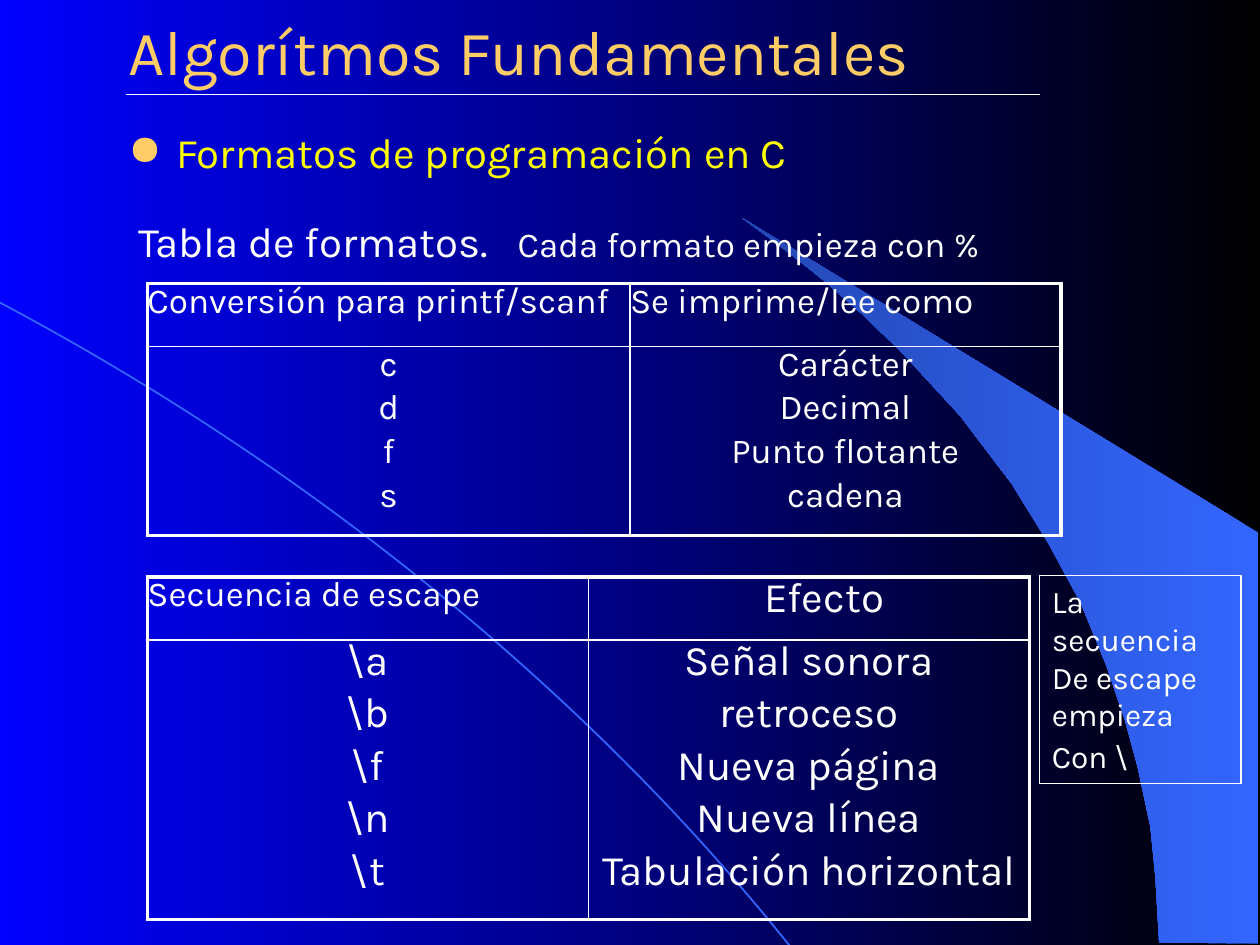
from dataclasses import dataclass

from lxml.etree import SubElement
from pptx import Presentation
from pptx.dml.color import RGBColor
from pptx.enum.shapes import MSO_CONNECTOR as Connector, MSO_SHAPE as Shape
from pptx.enum.text import MSO_ANCHOR as Anchor, PP_ALIGN as Align
from pptx.oxml.ns import qn
from pptx.util import Inches, Pt

FONT = "Karla"
COLORS = {"black": "000000", "blue": "0000FF", "sweep": "3366FF", "sweep_dark": "2448B4",
          "gold": "FFCC66", "yellow": "FFFF00", "white": "FFFFFF"}
LINE_SPACING = 0.9
THICK, THIN = 2.25, 1

SWEEP_OUTLINE = [
    (9.2, 7.48), (9.99, 7.49), (9.99, 4.23), (5.89, 1.73), (6.24, 1.99), (6.53, 2.22),
    (6.85, 2.5), (7.16, 2.8), (7.62, 3.3), (8.03, 3.84), (8.32, 4.31), (8.58, 4.79),
    (8.78, 5.28), (8.93, 5.72), (9.03, 6.09), (9.13, 6.56), (9.17, 6.96),
]


@dataclass
class FormatTable:
    top: float
    widths: tuple[float, float]
    heights: tuple[float, float]
    headers: tuple[str, str]
    header_sizes: tuple[int, int]
    entries: list[tuple[str, str]]
    size: int
    gap: float
    effect_indent: float = 0


TABLES = [
    FormatTable(2.25, (3.83, 3.42), (0.5, 1.5),
                ("Conversión para printf/scanf", "Se imprime/lee como"), (20, 20),
                [("c", "Carácter"), ("d", "Decimal"), ("f", "Punto flotante"), ("s", "cadena")],
                20, 4),
    FormatTable(4.58, (3.5, 3.5), (0.5, 2.22),
                ("Secuencia de escape", "Efecto"), (20, 24),
                [("\\a", "Señal sonora"), ("\\b", "retroceso"), ("\\f", "Nueva página"),
                 ("\\n", "Nueva línea"), ("\\t", "Tabulación horizontal")],
                24, 4.8, effect_indent=0.24),
]


def rgb(name: str) -> RGBColor:
    return RGBColor.from_string(COLORS[name])


def style_run(run, size: float, color: str = "white") -> None:
    run.font.name = FONT
    run.font.size = Pt(size)
    run.font.color.rgb = rgb(color)


def write_lines(frame, lines, size: float, color: str = "white", align=Align.LEFT,
                spacing: float = 1, gap: float = 0) -> None:
    frame.text = "\n".join(lines)
    for index, paragraph in enumerate(frame.paragraphs):
        paragraph.alignment = align
        paragraph.line_spacing = spacing
        paragraph.space_before = Pt(gap if index else 0)
        for run in paragraph.runs:
            style_run(run, size, color)


def add_text(slide, left: float, top: float, width: float, height: float, text: str,
             size: float, color: str = "white", spacing: float = 1):
    box = slide.shapes.add_textbox(Inches(left), Inches(top), Inches(width), Inches(height))
    box.text_frame.word_wrap = True
    write_lines(box.text_frame, [text], size, color, spacing=spacing)
    return box.text_frame


def set_gradient(fill, start: str, end: str) -> None:
    fill.gradient()
    fill.gradient_angle = 180
    for stop, color, position in zip(fill.gradient_stops, (start, end), (0, 1)):
        stop.color.rgb = rgb(color)
        stop.position = position


def add_line(slide, kind, start: tuple[float, float], end: tuple[float, float], color: str):
    line = slide.shapes.add_connector(kind, *map(Inches, start + end))
    line.line.color.rgb = rgb(color)
    line.line.width = Pt(1)
    SubElement(line._element.spPr, qn("a:effectLst"))
    return line


def set_borders(cell, row: int, column: int) -> None:
    outer = {"L": column == 0, "R": column == 1, "T": row == 0, "B": row == 1}
    properties = cell._tc.get_or_add_tcPr()
    for side, is_outer in outer.items():
        border = SubElement(properties, qn(f"a:ln{side}"), w=str(Pt(THICK if is_outer else THIN)))
        solid = SubElement(border, qn("a:solidFill"))
        SubElement(solid, qn("a:srgbClr"), val=COLORS["white"])


def add_format_table(slide, spec: FormatTable) -> None:
    table = slide.shapes.add_table(2, 2, Inches(1.17), Inches(spec.top), Inches(sum(spec.widths)),
                                   Inches(sum(spec.heights))).table
    table.first_row = table.horz_banding = False
    for row, height in enumerate(spec.heights):
        table.rows[row].height = Inches(height)
    for column, width in enumerate(spec.widths):
        table.columns[column].width = Inches(width)
        header, body = table.cell(0, column), table.cell(1, column)
        for row, cell in enumerate((header, body)):
            cell.margin_left = cell.margin_right = cell.margin_top = cell.margin_bottom = 0
            set_borders(cell, row, column)
            cell.fill.background()
        centred = column == 1 and spec.effect_indent
        write_lines(header.text_frame, [spec.headers[column]], spec.header_sizes[column],
                    align=Align.CENTER if centred else Align.LEFT, spacing=LINE_SPACING)
        if centred:
            header.margin_left = Inches(spec.effect_indent)
        write_lines(body.text_frame, [entry[column] for entry in spec.entries], spec.size,
                    align=Align.CENTER, spacing=LINE_SPACING, gap=spec.gap)


def add_backdrop(slide) -> None:
    set_gradient(slide.background.fill, "black", "blue")
    (start_x, start_y), *rest = [(Inches(x), Inches(y)) for x, y in SWEEP_OUTLINE]
    builder = slide.shapes.build_freeform(start_x, start_y)
    builder.add_line_segments(rest, close=True)
    sweep = builder.convert_to_shape()
    sweep.shadow.inherit = False
    set_gradient(sweep.fill, "sweep", "sweep_dark")
    sweep.line.fill.background()
    arc = add_line(slide, Connector.CURVE, (-9.19, 0.01), (9.2, 14.98), "sweep")
    arc._element.spPr.find(qn("a:prstGeom")).set("prst", "curvedConnector2")


def add_headings(slide) -> None:
    topic = add_text(slide, 0.92, 1, 8.5, 0.42, "Formatos de programación en C", 24, "yellow",
                     LINE_SPACING).paragraphs[0]
    bullet = topic._p.get_or_add_pPr()
    bullet.set("marL", str(Inches(0.38)))
    bullet.set("indent", str(Inches(-0.38)))
    bullet_color = SubElement(bullet, qn("a:buClr"))
    SubElement(bullet_color, qn("a:srgbClr"), val=COLORS["gold"])
    SubElement(bullet, qn("a:buChar"), char="●")

    title = add_text(slide, 0.92, 0.17, 8.5, 0.58, "Algorítmos Fundamentales", 36, "gold")
    title.vertical_anchor = Anchor.BOTTOM
    add_line(slide, Connector.STRAIGHT, (1, 0.75), (8.25, 0.75), "white")

    # Caption with its remark at a tab stop
    caption = add_text(slide, 1, 1.66, 6.93, 0.5, "Tabla de formatos.", 24).paragraphs[0]
    remark = caption.add_run()
    remark.text = "\tCada formato empieza con %"
    style_run(remark, 20)
    tabs = SubElement(caption._p.get_or_add_pPr(), qn("a:tabLst"))
    SubElement(tabs, qn("a:tab"), pos=str(Inches(3.01)), algn="l")


def add_escape_note(slide) -> None:
    note = slide.shapes.add_shape(Shape.RECTANGLE, Inches(8.25), Inches(4.57), Inches(1.6),
                                  Inches(1.65))
    note.shadow.inherit = False
    note.fill.background()
    note.line.color.rgb = rgb("white")
    note.line.width = Pt(0.75)
    note.text_frame.word_wrap = True
    note.text_frame.vertical_anchor = Anchor.TOP
    write_lines(note.text_frame, ["La secuencia", "De escape empieza", "Con \\"], 18)
    note.text_frame.paragraphs[-1].space_before = Pt(2)


def main() -> None:
    deck = Presentation()
    deck.slide_width, deck.slide_height = Inches(10), Inches(7.5)
    slide = deck.slides.add_slide(deck.slide_layouts[6])
    add_backdrop(slide)
    add_headings(slide)
    for spec in TABLES:
        add_format_table(slide, spec)
    add_escape_note(slide)
    deck.save("out.pptx")


if __name__ == "__main__":
    main()
